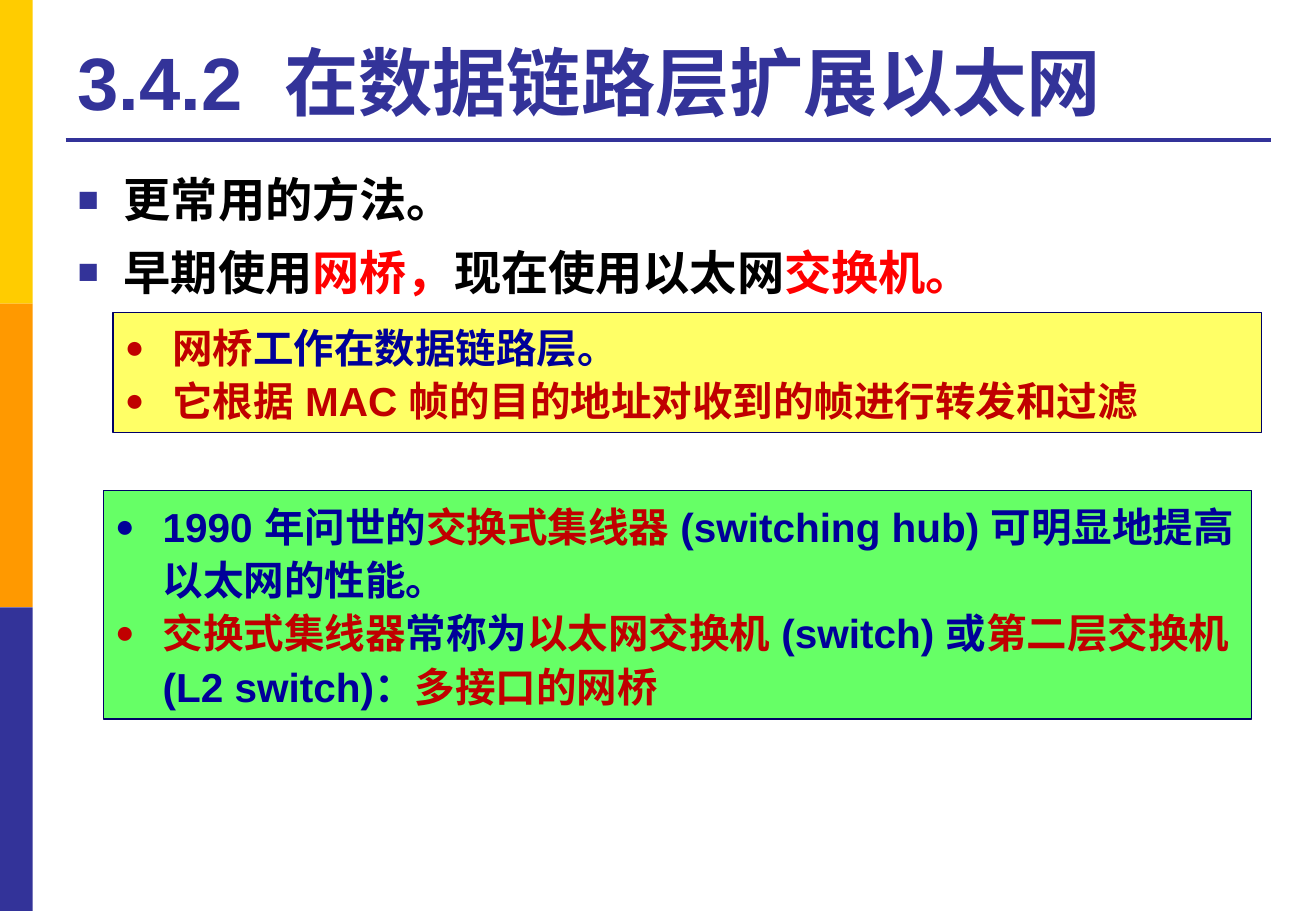
from lxml.etree import SubElement
from pptx import Presentation
from pptx.dml.color import RGBColor
from pptx.enum.lang import MSO_LANGUAGE_ID
from pptx.enum.shapes import MSO_CONNECTOR, MSO_SHAPE
from pptx.enum.text import MSO_ANCHOR, PP_ALIGN
from pptx.oxml.ns import qn
from pptx.util import Pt

PX = 9144  # EMU per px, 100 px to the inch
FONT = "Arial"

GOLD = RGBColor(0xFF, 0xCC, 0x00)
ORANGE = RGBColor(0xFF, 0x99, 0x00)
INDIGO = RGBColor(0x33, 0x33, 0x99)
BLACK = RGBColor(0x00, 0x00, 0x00)
RED = RGBColor(0xFF, 0x00, 0x00)
DARK_RED = RGBColor(0xC0, 0x00, 0x00)
BLUE = RGBColor(0x00, 0x00, 0x99)
NAVY = RGBColor(0x00, 0x00, 0x66)
YELLOW = RGBColor(0xFF, 0xFF, 0x66)
GREEN = RGBColor(0x66, 0xFF, 0x66)


def add_span(para, text, *, size, color):
    span = para.add_run()
    span.text = text
    font = span.font
    font.name, font.size, font.bold = FONT, Pt(size), True
    font.color.rgb = color
    font.language_id = MSO_LANGUAGE_ID.SIMPLIFIED_CHINESE
    latin = font._element.find(qn("a:latin"))
    east_asian = SubElement(font._element, qn("a:ea"), typeface=FONT)
    latin.addnext(east_asian)


def add_bullet(para, *, mark, color, percent, indent):
    properties = para._p.get_or_add_pPr()
    properties.set("marL", str(indent * PX))
    properties.set("indent", str(-indent * PX))
    bullet_color = SubElement(properties, qn("a:buClr"))
    SubElement(bullet_color, qn("a:srgbClr"), val=str(color))
    SubElement(properties, qn("a:buSzPct"), val=str(percent * 1000))
    SubElement(properties, qn("a:buFont"), typeface=FONT)
    SubElement(properties, qn("a:buChar"), char=mark)


class SlideBuilder:
    def __init__(self, deck):
        self.page = deck.slides.add_slide(deck.slide_layouts[6])

    def rectangle(self, left, top, width, height, fill, border=None):
        box = self.page.shapes.add_shape(
            MSO_SHAPE.RECTANGLE, left * PX, top * PX, width * PX, height * PX)
        box.shadow.inherit = False
        box.fill.solid()
        box.fill.fore_color.rgb = fill
        if border is None:
            box.line.fill.background()
        else:
            box.line.color.rgb = border
            box.line.width = Pt(0.75)
        return box

    def rule(self, left, right, top, color, weight):
        line = self.page.shapes.add_connector(
            MSO_CONNECTOR.STRAIGHT, left * PX, top * PX, right * PX, top * PX)
        line.line.color.rgb = color
        line.line.width = Pt(weight)
        SubElement(line._element.spPr, qn("a:effectLst"))

    def text_box(self, left, top, width, height):
        return self.page.shapes.add_textbox(
            left * PX, top * PX, width * PX, height * PX)

    def fill_text(self, box, paragraphs, *, size, anchor=MSO_ANCHOR.TOP,
                  spacing=None, gap=0, bullet=None):
        frame = box.text_frame
        frame.word_wrap = True
        frame.vertical_anchor = anchor
        for index, spans in enumerate(paragraphs):
            para = frame.add_paragraph() if index else frame.paragraphs[0]
            para.alignment = PP_ALIGN.LEFT
            if bullet:
                add_bullet(para, **{"color": spans[0][1], **bullet})
            if spacing:
                para.line_spacing = spacing
            if index and gap:
                para.space_before = Pt(gap)
            for text, color in spans:
                add_span(para, text, size=size, color=color)

    def panel(self, left, top, width, height, fill, paragraphs):
        box = self.rectangle(left, top, width, height, fill, border=NAVY)
        self.fill_text(box, paragraphs, size=24, spacing=1.1,
                       bullet={"mark": "●", "percent": 80, "indent": 39})


def main():
    deck = Presentation()
    deck.slide_width, deck.slide_height = 1083 * PX, 750 * PX
    slide = SlideBuilder(deck)

    # Side bands
    for index, color in enumerate((GOLD, ORANGE, INDIGO)):
        slide.rectangle(0, 250 * index, 27, 250, color)

    # Title and rule
    slide.rule(54, 1046, 115, INDIGO, 2.25)
    slide.fill_text(slide.text_box(54, 21, 991, 87),
                    [[("3.4.2  在数据链路层扩展以太网", INDIGO)]],
                    size=44, anchor=MSO_ANCHOR.BOTTOM)

    # Main points
    slide.fill_text(slide.text_box(54, 131, 991, 540), [
        [("更常用的方法。", BLACK)],
        [("早期使用", BLACK), ("网桥，", RED),
         ("现在使用以太网", BLACK), ("交换机。", RED)],
    ], size=28, spacing=1.1, gap=6,
        bullet={"mark": "■", "color": INDIGO, "percent": 75, "indent": 38})

    # Bridge panel
    slide.panel(93, 257, 945, 99, YELLOW, [
        [("网桥", DARK_RED), ("工作在数据链路层。", BLUE)],
        [("它根据 MAC 帧的目的地址对收到的帧进行转发和过滤", DARK_RED)],
    ])

    # Switch panel
    slide.panel(85, 404, 945, 188, GREEN, [
        [("1990 年问世的", BLUE), ("交换式集线器 ", DARK_RED),
         ("(switching hub) 可明显地提高以太网的性能。", BLUE)],
        [("交换式集线器", DARK_RED), ("常称为", BLUE),
         ("以太网交换机 ", DARK_RED), ("(switch) 或", BLUE),
         ("第二层交换机 ", DARK_RED), ("(L2 switch)：", BLUE),
         ("多接口的网桥", DARK_RED)],
    ])

    deck.save("out.pptx")


if __name__ == "__main__":
    main()
